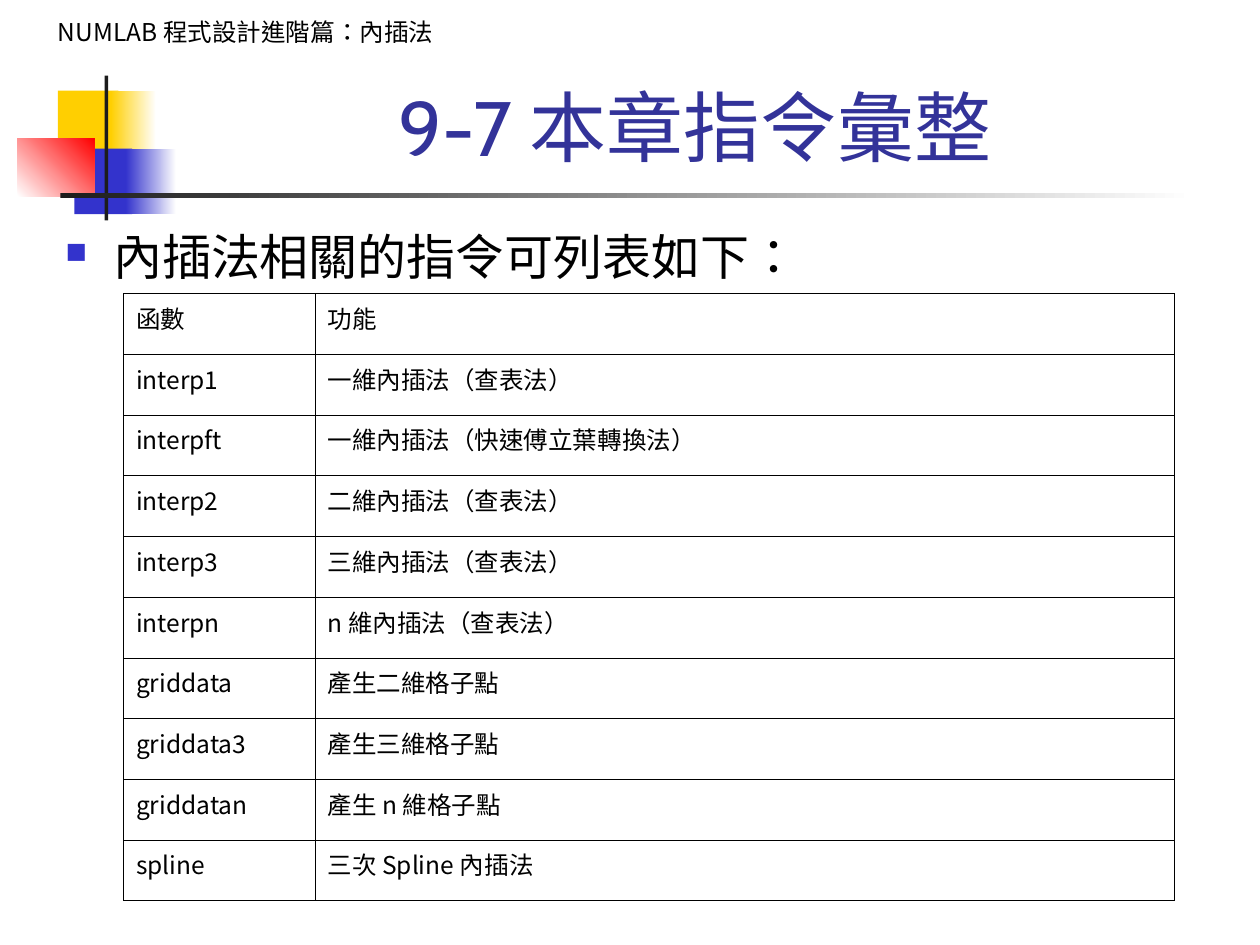
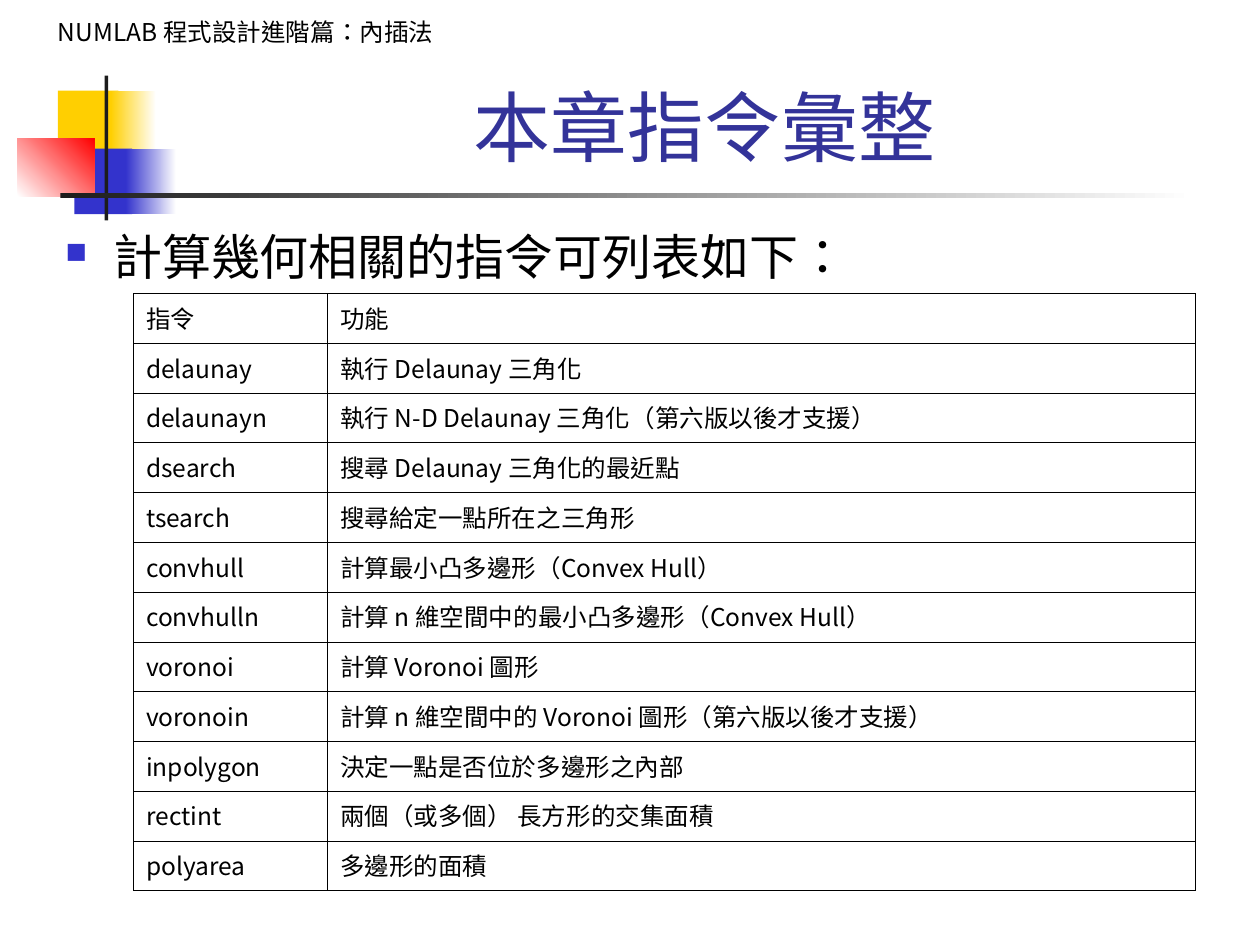
from lxml import etree
from pptx import Presentation
from pptx.dml.color import RGBColor
from pptx.enum import shapes, text
from pptx.oxml import ns
from pptx.util import Inches, Pt

COLORS = {
    "page": "FFFFFF", "ink": "000000", "title": "333399", "yellow": "FFCF01",
    "blue": "3333CC", "red": "FF0000", "rule": "1C1C1C",
}
HEADING_FONT, PLAIN_FONT = "Cabin", "Noto Sans CJK SC"
LANGUAGE = "zh-TW"
HEADER = "NUMLAB 程式設計進階篇：內插法"

# (left, top, width, height), colours from first to last, gradient angle
ORNAMENTS = [
    ((0.46, 0.72, 0.48, 0.52), ["yellow"], 0),
    ((0.88, 0.72, 0.36, 0.52), ["yellow", "page"], 0),
    ((0.59, 1.18, 0.46, 0.52), ["blue"], 0),
    ((1.0, 1.18, 0.4, 0.52), ["blue", "page"], 0),
    ((0.14, 1.1, 0.61, 0.46), ["page", "red"], 45),
    ((0.83, 0.6, 0.03, 1.15), ["rule"], 0),
    ((0.48, 1.53, 9, 0.04), ["rule", "page"], 0),
]

SLIDES = [
    {
        "title": "9-7 本章指令彙整",
        "title_left": 1.26,
        "lead": "內插法相關的指令可列表如下：",
        "lead_width": 9.31,
        "table_left": 0.98,
        "columns": (1.52, 6.82),
        "table_height": 4.82,
        "commands": [
            ("函數", "功能"),
            ("interp1", "一維內插法（查表法）"),
            ("interpft", "一維內插法（快速傅立葉轉換法）"),
            ("interp2", "二維內插法（查表法）"),
            ("interp3", "三維內插法（查表法）"),
            ("interpn", "n 維內插法（查表法）"),
            ("griddata", "產生二維格子點"),
            ("griddata3", "產生三維格子點"),
            ("griddatan", "產生 n 維格子點"),
            ("spline", "三次 Spline 內插法"),
        ],
    },
    {
        "title": "本章指令彙整",
        "title_left": 1.33,
        "lead": "計算幾何相關的指令可列表如下：",
        "lead_width": 9.58,
        "table_left": 1.06,
        "columns": (1.54, 6.89),
        "table_height": 4.74,
        "commands": [
            ("指令", "功能"),
            ("delaunay", "執行 Delaunay 三角化"),
            ("delaunayn", "執行 N-D Delaunay 三角化（第六版以後才支援）"),
            ("dsearch", "搜尋 Delaunay 三角化的最近點"),
            ("tsearch", "搜尋給定一點所在之三角形"),
            ("convhull", "計算最小凸多邊形（Convex Hull）"),
            ("convhulln", "計算 n 維空間中的最小凸多邊形（Convex Hull）"),
            ("voronoi", "計算 Voronoi 圖形"),
            ("voronoin", "計算 n 維空間中的 Voronoi 圖形（第六版以後才支援）"),
            ("inpolygon", "決定一點是否位於多邊形之內部"),
            ("rectint", "兩個（或多個） 長方形的交集面積"),
            ("polyarea", "多邊形的面積"),
        ],
    },
]


def rgb(name):
    return RGBColor.from_string(COLORS[name])


def add_element(parent, tag, **attributes):
    return etree.SubElement(parent, ns.qn(tag), attributes)


def write(frame, words, size=14, font=PLAIN_FONT, color="ink",
          align=text.PP_ALIGN.LEFT, anchor=text.MSO_ANCHOR.TOP, bullet=None):
    frame.word_wrap = True
    frame.vertical_anchor = anchor
    paragraph = frame.paragraphs[0]
    paragraph.alignment = align
    if bullet:
        properties = paragraph._p.get_or_add_pPr()
        properties.set("marL", str(Inches(0.38)))
        properties.set("indent", str(-Inches(0.38)))
        bullet_color = add_element(properties, "a:buClr")
        add_element(bullet_color, "a:srgbClr", val=COLORS["blue"])
        add_element(properties, "a:buSzPct", val="60000")
        add_element(properties, "a:buChar", char=bullet)
    run = paragraph.add_run()
    run.text = words
    run.font.size = Pt(size)
    run.font.name = font
    run.font.color.rgb = rgb(color)
    run_properties = run.font._element
    run_properties.set("lang", LANGUAGE)
    east_asian = etree.Element(ns.qn("a:ea"), typeface=font)
    run_properties.find(ns.qn("a:latin")).addnext(east_asian)


def add_text(slide, box, words, **style):
    write(slide.shapes.add_textbox(*map(Inches, box)).text_frame, words, **style)


def add_block(slide, box, colors, angle):
    block = slide.shapes.add_shape(shapes.MSO_SHAPE.RECTANGLE, *map(Inches, box))
    block.shadow.inherit = False
    block.line.fill.background()
    if len(colors) == 1:
        block.fill.solid()
        block.fill.fore_color.rgb = rgb(colors[0])
        return
    block.fill.gradient()
    block.fill.gradient_angle = angle
    for stop, color in zip(block.fill.gradient_stops, colors):
        stop.color.rgb = rgb(color)


def add_borders(cell):
    properties = cell._tc.get_or_add_tcPr()
    for side in "LRTB":
        border = add_element(properties, f"a:ln{side}", w=str(Pt(0.45)))
        fill = add_element(border, "a:solidFill")
        add_element(fill, "a:srgbClr", val=COLORS["ink"])


def add_command_table(slide, content):
    commands, columns = content["commands"], content["columns"]
    box = (content["table_left"], 2.33, sum(columns), content["table_height"])
    table = slide.shapes.add_table(
        len(commands), len(columns), *map(Inches, box)).table
    table.first_row = table.horz_banding = False
    for column, width in zip(table.columns, columns):
        column.width = Inches(width)
    for row, command in zip(table.rows, commands):
        row.height = Inches(content["table_height"] / len(commands))
        for cell, words in zip(row.cells, command):
            add_borders(cell)
            cell.fill.background()
            write(cell.text_frame, words)


def add_slide(deck, content):
    slide = deck.slides.add_slide(deck.slide_layouts[6])
    for ornament in ORNAMENTS:
        add_block(slide, *ornament)
    add_text(slide, (0.08, 0.08, 3.74, 0.34), HEADER,
             align=text.PP_ALIGN.CENTER, anchor=text.MSO_ANCHOR.MIDDLE)
    add_text(slide, (content["title_left"], 0.58, 8.52, 0.83), content["title"],
             size=44, font=HEADING_FONT, color="title",
             align=text.PP_ALIGN.CENTER, anchor=text.MSO_ANCHOR.BOTTOM)
    add_text(slide, (0.42, 1.75, content["lead_width"], 5.75), content["lead"],
             size=28, font=HEADING_FONT, bullet="■")
    add_command_table(slide, content)


def main():
    deck = Presentation()
    deck.slide_width, deck.slide_height = Inches(10), Inches(7.5)
    for content in SLIDES:
        add_slide(deck, content)
    deck.save("out.pptx")


if __name__ == "__main__":
    main()
